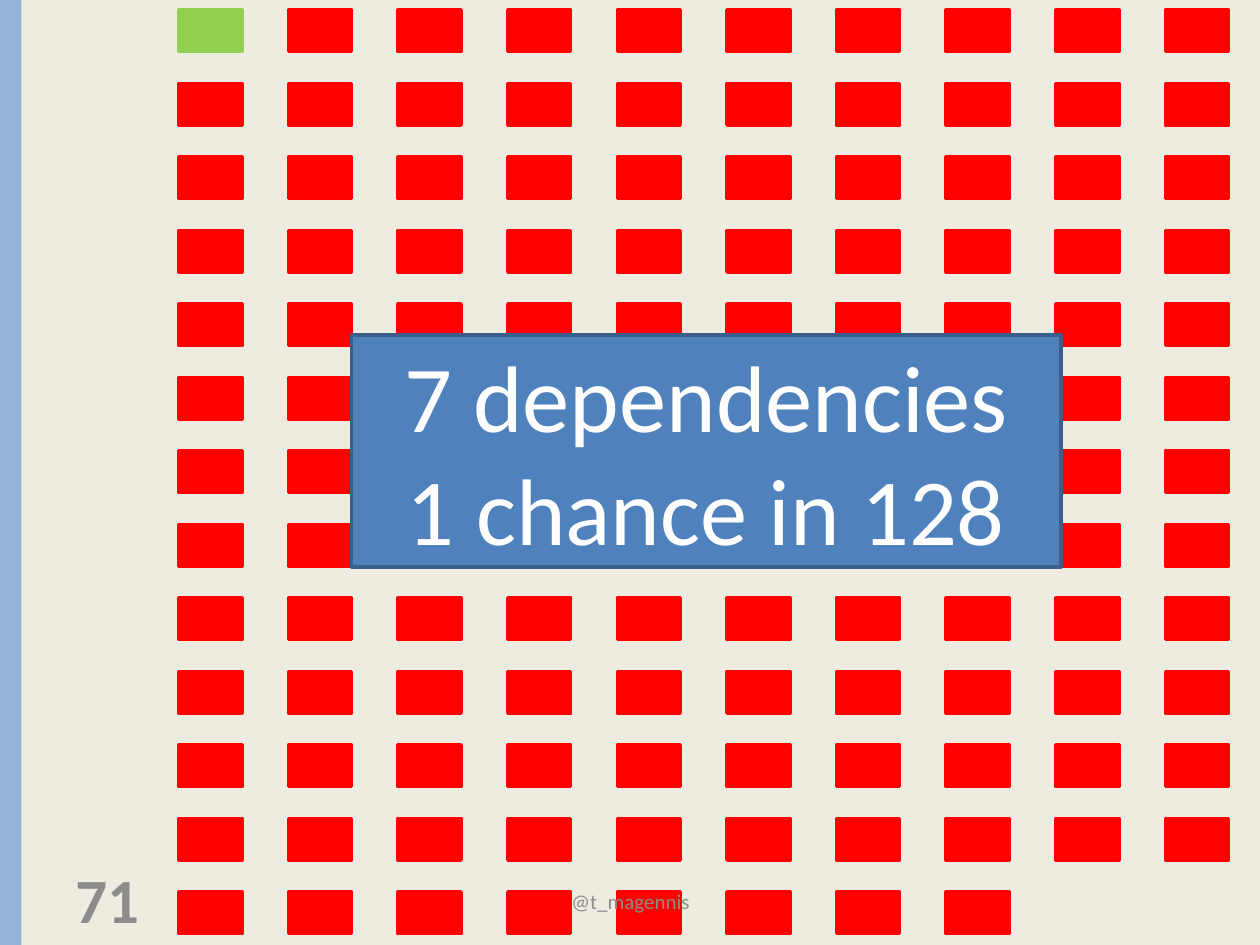
from itertools import product

from pptx import Presentation
from pptx.dml.color import RGBColor
from pptx.enum.shapes import MSO_SHAPE
from pptx.enum.text import MSO_ANCHOR, PP_ALIGN
from pptx.util import Inches, Pt

BEIGE = RGBColor(0xEE, 0xEC, 0xE1)
LIGHT_BLUE = RGBColor(0x95, 0xB3, 0xD7)
BLUE = RGBColor(0x4F, 0x81, 0xBD)
DARK_BLUE = RGBColor(0x3A, 0x5F, 0x8C)
GREEN = RGBColor(0x92, 0xD0, 0x50)
RED = RGBColor(0xFF, 0x00, 0x00)
GRAY = RGBColor(0x8C, 0x8C, 0x8C)
WHITE = RGBColor(0xFF, 0xFF, 0xFF)

OUTCOMES = 2 ** 7
COLUMNS = 10
GRID_LEFT, GRID_TOP = 1.42, 0.08
COLUMN_STEP, ROW_STEP = 0.87, 7 / 12
CELL_WIDTH, CELL_HEIGHT = 0.5, 0.33
# Cells entirely behind the callout are left out
HIDDEN_CELLS = set(product((5, 6), range(2, 8)))


class SlideBuilder:
    font_name = "Calibri"
    line_width = Pt(2)

    def __init__(self, slide):
        self.slide = slide

    def background(self, color):
        fill = self.slide.background.fill
        fill.solid()
        fill.fore_color.rgb = color

    def rectangle(self, left, top, width, height, color, line=None):
        shape = self.slide.shapes.add_shape(
            MSO_SHAPE.RECTANGLE, Inches(left), Inches(top), Inches(width), Inches(height))
        shape.shadow.inherit = False
        shape.fill.solid()
        shape.fill.fore_color.rgb = color
        if line is None:
            shape.line.fill.background()
        else:
            shape.line.color.rgb = line
            shape.line.width = self.line_width
        return shape

    def text_box(self, left, top, width, height, text, **style):
        shape = self.slide.shapes.add_textbox(
            Inches(left), Inches(top), Inches(width), Inches(height))
        self.set_text(shape, text, **style)

    def set_text(self, shape, text, size, color, bold=False, align=PP_ALIGN.CENTER):
        text_frame = shape.text_frame
        text_frame.word_wrap = True
        text_frame.vertical_anchor = MSO_ANCHOR.MIDDLE
        text_frame.text = text
        for paragraph in text_frame.paragraphs:
            paragraph.alignment = align
            for run in paragraph.runs:
                run.font.name = self.font_name
                run.font.size = Pt(size)
                run.font.bold = bold
                run.font.color.rgb = color


def main():
    presentation = Presentation()
    presentation.slide_width = Inches(10)
    presentation.slide_height = Inches(7.5)
    builder = SlideBuilder(presentation.slides.add_slide(presentation.slide_layouts[6]))

    # Background, side bar and slide number
    builder.background(BEIGE)
    builder.rectangle(0, 0, 0.17, 7.5, LIGHT_BLUE)
    builder.text_box(0.5, 6.93, 2.33, 0.4, "71", size=36, color=GRAY,
                     bold=True, align=PP_ALIGN.LEFT)

    # Grid of outcomes: one success, all others failures
    for outcome in range(OUTCOMES):
        row, column = divmod(outcome, COLUMNS)
        if (row, column) in HIDDEN_CELLS:
            continue
        color = GREEN if outcome == 0 else RED
        builder.rectangle(GRID_LEFT + column * COLUMN_STEP, GRID_TOP + row * ROW_STEP,
                          CELL_WIDTH, CELL_HEIGHT, color, color)

    # Callout
    callout = builder.rectangle(2.79, 2.66, 5.63, 1.84, BLUE, DARK_BLUE)
    builder.set_text(callout, "7 dependencies\n1 chance in 128", size=54, color=WHITE)

    # Footer
    builder.text_box(3.42, 6.95, 3.17, 0.4, "@t_magennis", size=12, color=GRAY)

    presentation.save("out.pptx")


if __name__ == "__main__":
    main()
